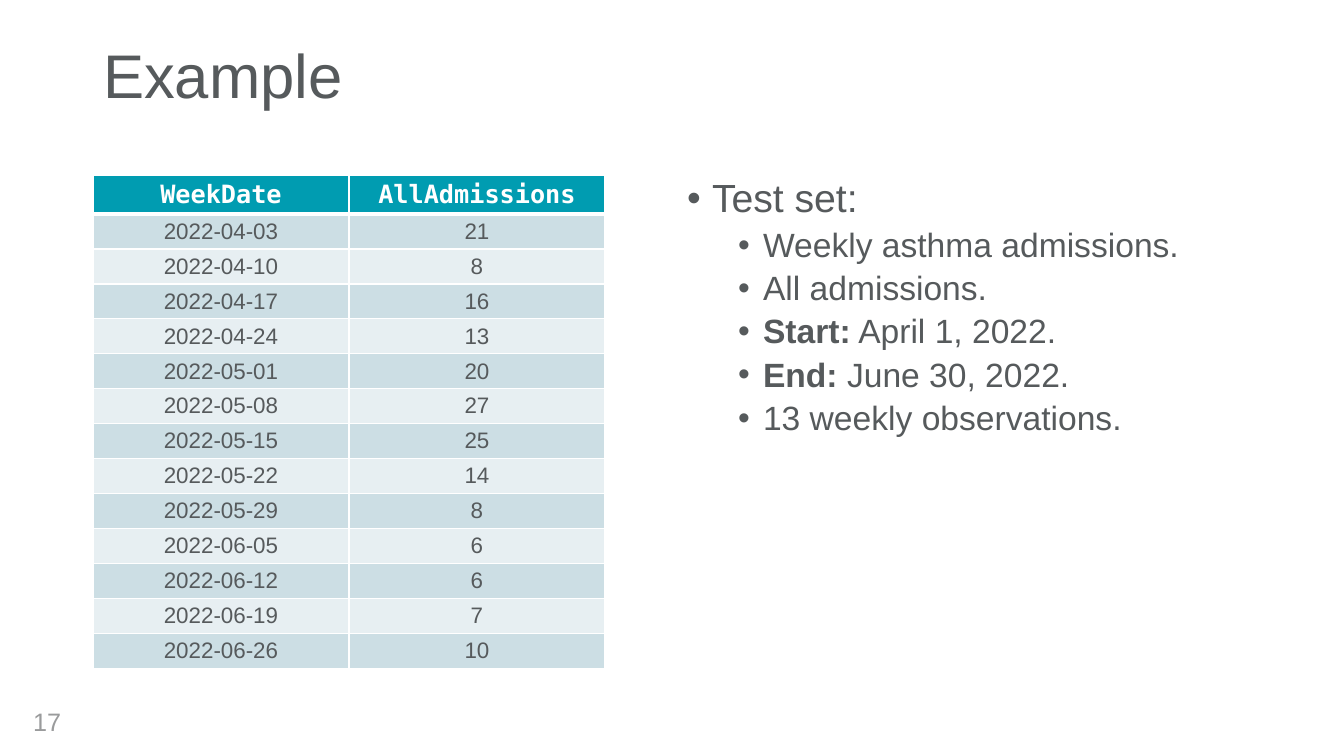
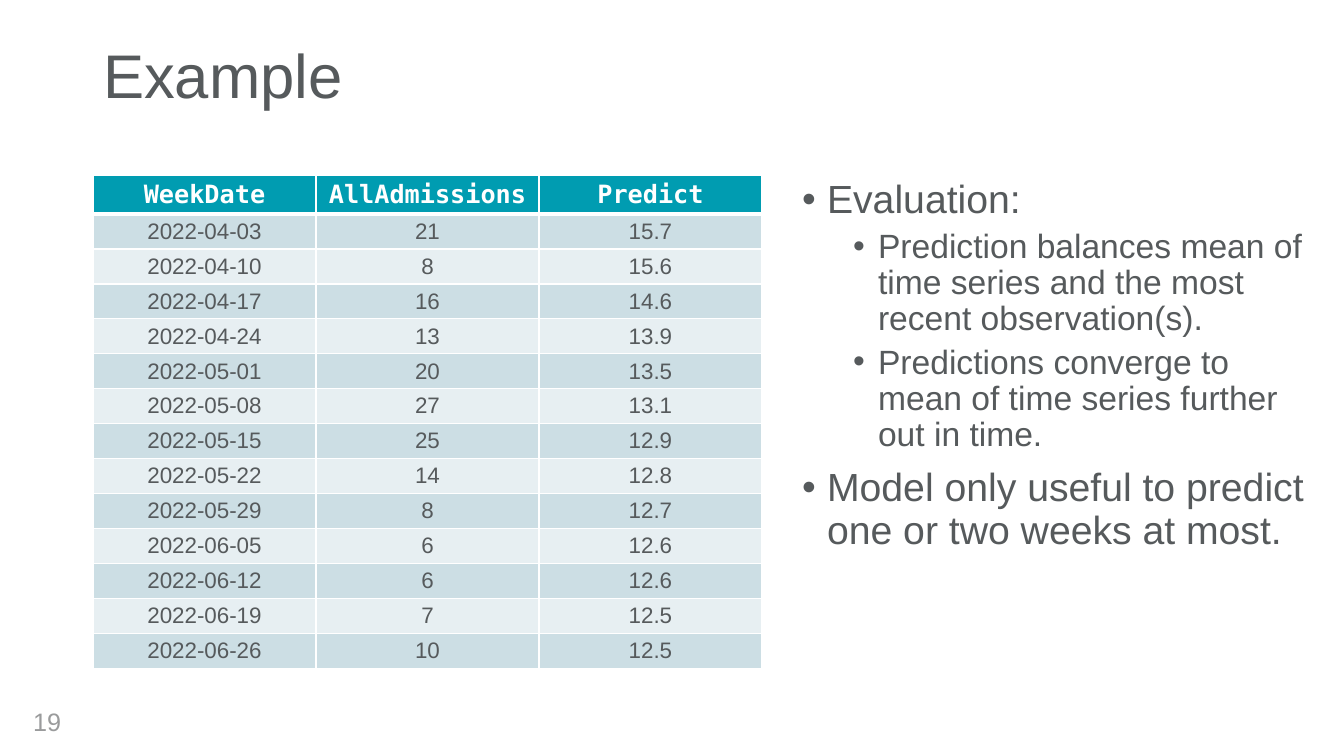
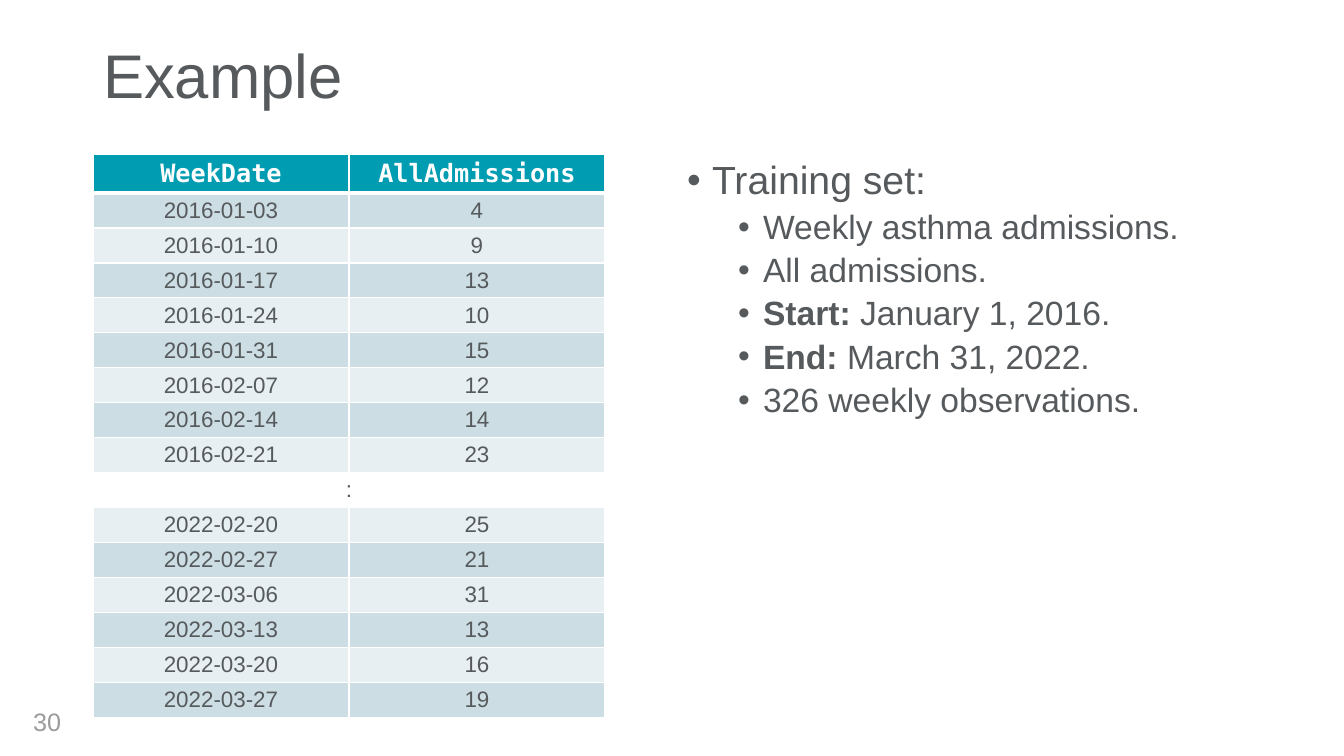
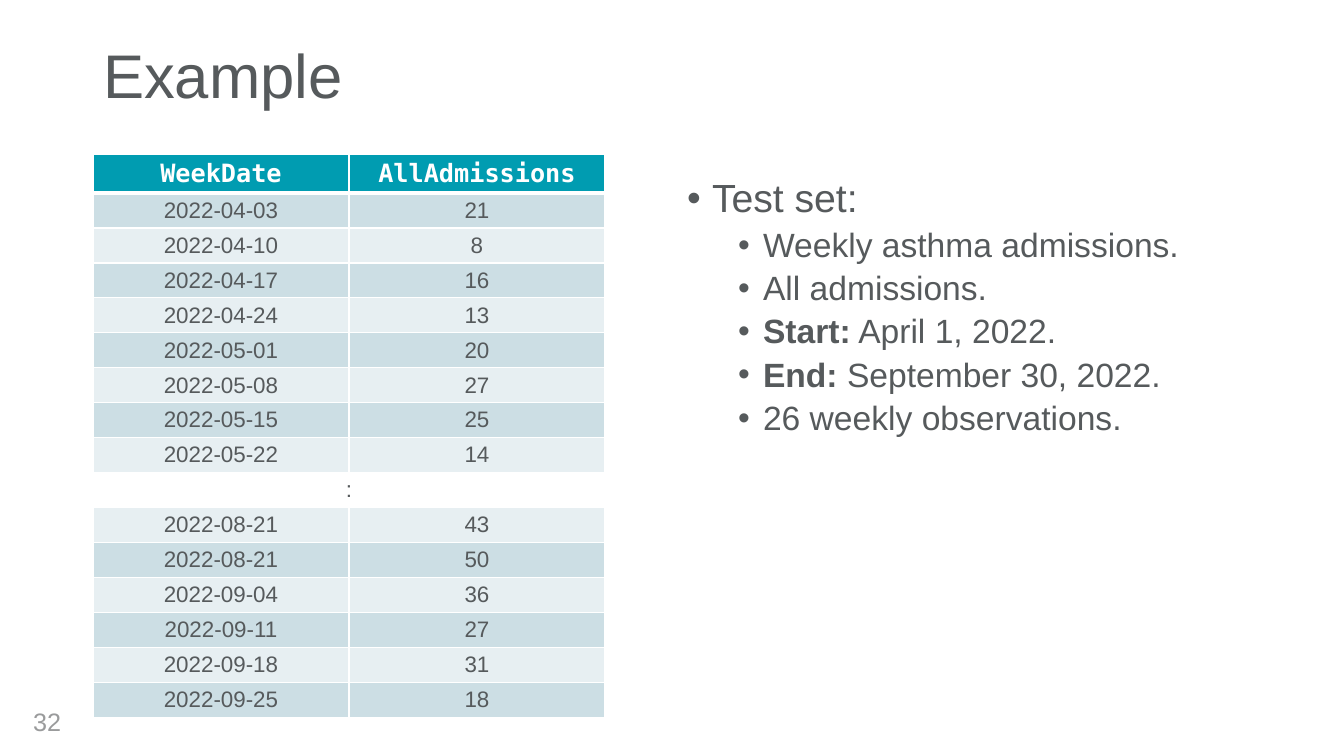
"""Four slides of weekly admissions: a table beside a bullet list."""
from lxml.etree import SubElement
from pptx import Presentation
from pptx.dml.color import RGBColor
from pptx.enum.text import MSO_ANCHOR, MSO_AUTO_SIZE, PP_ALIGN
from pptx.oxml.ns import qn
from pptx.util import Emu, Pt

SCALE = 12192000 / 1344
GREY = RGBColor(0x56, 0x5A, 0x5C)
PALE = RGBColor(0x9A, 0x9B, 0x9C)
TEAL = RGBColor(0x00, 0x9C, 0xB1)
DARK = RGBColor(0xCC, 0xDE, 0xE4)
LIGHT = RGBColor(0xE7, 0xEF, 0xF2)
WHITE = RGBColor(0xFF, 0xFF, 0xFF)
SANS, MONO = "Arial", "DejaVu Sans Mono"

LEFT, HEAD, ROW = 93, 39, 35
HIGH, LOW = 154, 175
GAP = (":",)
NAMES = ("WeekDate", "AllAdmissions")
TRAIN = [
    ("2016-01-03", "4"), ("2016-01-10", "9"), ("2016-01-17", "13"),
    ("2016-01-24", "10"), ("2016-01-31", "15"), ("2016-02-07", "12"),
    ("2016-02-14", "14"), ("2016-02-21", "23"), GAP,
    ("2022-02-20", "25"), ("2022-02-27", "21"), ("2022-03-06", "31"),
    ("2022-03-13", "13"), ("2022-03-20", "16"), ("2022-03-27", "19"),
]
TEST = [
    ("2022-04-03", "21"), ("2022-04-10", "8"), ("2022-04-17", "16"),
    ("2022-04-24", "13"), ("2022-05-01", "20"), ("2022-05-08", "27"),
    ("2022-05-15", "25"), ("2022-05-22", "14"), ("2022-05-29", "8"),
    ("2022-06-05", "6"), ("2022-06-12", "6"), ("2022-06-19", "7"),
    ("2022-06-26", "10"),
]
LATE = [
    ("2022-08-21", "43"), ("2022-08-21", "50"), ("2022-09-04", "36"),
    ("2022-09-11", "27"), ("2022-09-18", "31"), ("2022-09-25", "18"),
]
GUESS = ("15.7", "15.6", "14.6", "13.9", "13.5", "13.1", "12.9",
         "12.8", "12.7", "12.6", "12.6", "12.5", "12.5")


def px(size):
    """Turn px into EMU."""
    return Emu(round(size * SCALE))


def place(shape, left, top, width, height):
    """Move and size a shape."""
    shape.left, shape.top = px(left), px(top)
    shape.width, shape.height = px(width), px(height)


def write(para, text, size, color=GREY, bold=False, face=SANS):
    """Add one run to a paragraph."""
    run = para.add_run()
    run.text = text
    font = run.font
    font.size, font.bold, font.name = Pt(size), bold, face
    font.color.rgb = color


def setup(deck):
    """Size the deck and style the title of its content layout."""
    deck.slide_width, deck.slide_height = px(1344), px(756)
    layout = deck.slide_layouts[1]
    title = layout.placeholders[0]
    place(title, LEFT, 40, 1159, 110)
    title.text_frame.vertical_anchor = MSO_ANCHOR.TOP
    return layout


def start(deck, layout, number):
    """Add a slide with its title and number."""
    slide = deck.slides.add_slide(layout)
    frame = slide.shapes.title.text_frame
    frame.auto_size = MSO_AUTO_SIZE.NONE
    para = frame.paragraphs[0]
    para.alignment, para.line_spacing = PP_ALIGN.LEFT, 0.9
    write(para, "Example", 44)
    box = slide.shapes.add_textbox(px(20), px(701), px(51), px(40))
    frame = box.text_frame
    frame.word_wrap, frame.vertical_anchor = True, MSO_ANCHOR.MIDDLE
    para = frame.paragraphs[0]
    para.alignment = PP_ALIGN.RIGHT
    write(para, number, 18, PALE)
    return slide


def bullet(para, indent):
    """Give a paragraph a hanging round bullet."""
    props = para._p.get_or_add_pPr()
    props.set("marL", str(px(indent)))
    props.set("indent", str(px(-25)))
    SubElement(props, qn("a:buFont"), typeface=SANS)
    SubElement(props, qn("a:buChar"), char="•")


def points(slide, spot, items):
    """Fill the body with (level, runs) items; odd runs are bold."""
    body = slide.placeholders[1]
    place(body, *spot)
    frame = body.text_frame
    frame.auto_size = MSO_AUTO_SIZE.NONE
    for index, (level, *runs) in enumerate(items):
        para = frame.add_paragraph() if index else frame.paragraphs[0]
        para.level, para.line_spacing = level, 0.9
        para.space_before = Pt(5 if level else 10)
        bullet(para, 76 if level else 25)
        for turn, text in enumerate(runs):
            bold = len(runs) > 1 and turn == 0
            write(para, text, 24 if level else 28, bold=bold)


def edge(cell, side, width):
    """Draw one white border of a cell."""
    props = cell._tc.get_or_add_tcPr()
    line = SubElement(props, qn("a:ln" + side), w=str(Pt(width)))
    fill = SubElement(line, qn("a:solidFill"))
    SubElement(fill, qn("a:srgbClr"), val=str(WHITE))


def fill(cell, text, row, color):
    """Style one cell and write its text."""
    for side in "LRTB":
        thick = (row, side) in ((0, "B"), (1, "T"))
        edge(cell, side, 3 if thick else 1)
    cell.fill.solid()
    cell.fill.fore_color.rgb = color
    cell.margin_top = cell.margin_bottom = px(3)
    cell.vertical_anchor = MSO_ANCHOR.MIDDLE
    para = cell.text_frame.paragraphs[0]
    para.alignment = PP_ALIGN.CENTER
    if row:
        write(para, text, 16)
    else:
        write(para, text, 18, WHITE, True, MONO)


def grid(slide, top, width, names, rows):
    """Add the table; a row of one text spans all columns."""
    data = [names, *rows]
    size = len(names)
    frame = slide.shapes.add_table(
        len(data), size, px(LEFT), px(top),
        px(width * size), px(HEAD + ROW * len(rows)))
    table = frame.table
    for column in table.columns:
        column.width = px(width)
    for row, texts in enumerate(data):
        table.rows[row].height = px(ROW if row else HEAD)
        color = (DARK if row % 2 else LIGHT) if row else TEAL
        if texts == GAP:
            table.cell(row, 0).merge(table.cell(row, size - 1))
            color = WHITE
        for col, text in enumerate(texts):
            fill(table.cell(row, col), text, row, color)


def span(slide, top, name, first, last, count):
    """List the facts of one data set."""
    points(slide, (677, top, 575, 280), [
        (0, name),
        (1, "Weekly asthma admissions."),
        (1, "All admissions."),
        (1, "Start:", f" {first}"),
        (1, "End:", f" {last}"),
        (1, f"{count} weekly observations."),
    ])


def main():
    """Build and save the deck."""
    deck = Presentation()
    layout = setup(deck)

    slide = start(deck, layout, "17")
    span(slide, 174, "Test set:", "April 1, 2022.", "June 30, 2022.", 13)
    grid(slide, LOW, 256, NAMES, TEST)

    slide = start(deck, layout, "19")
    points(slide, (792, 175, 525, 433), [
        (0, "Evaluation:"),
        (1, "Prediction balances mean of time series and the most "
            "recent observation(s)."),
        (1, "Predictions converge to mean of time series further "
            "out in time."),
        (0, "Model only useful to predict one or two weeks at most."),
    ])
    rows = [(*pair, guess) for pair, guess in zip(TEST, GUESS)]
    grid(slide, LOW, 223, (*NAMES, "Predict"), rows)

    slide = start(deck, layout, "30")
    span(slide, 156, "Training set:", "January 1, 2016.",
         "March 31, 2022.", 326)
    grid(slide, HIGH, 256, NAMES, TRAIN)

    slide = start(deck, layout, "32")
    span(slide, 174, "Test set:", "April 1, 2022.",
         "September 30, 2022.", 26)
    grid(slide, HIGH, 256, NAMES, [*TEST[:8], GAP, *LATE])

    deck.save("out.pptx")


if __name__ == "__main__":
    main()
